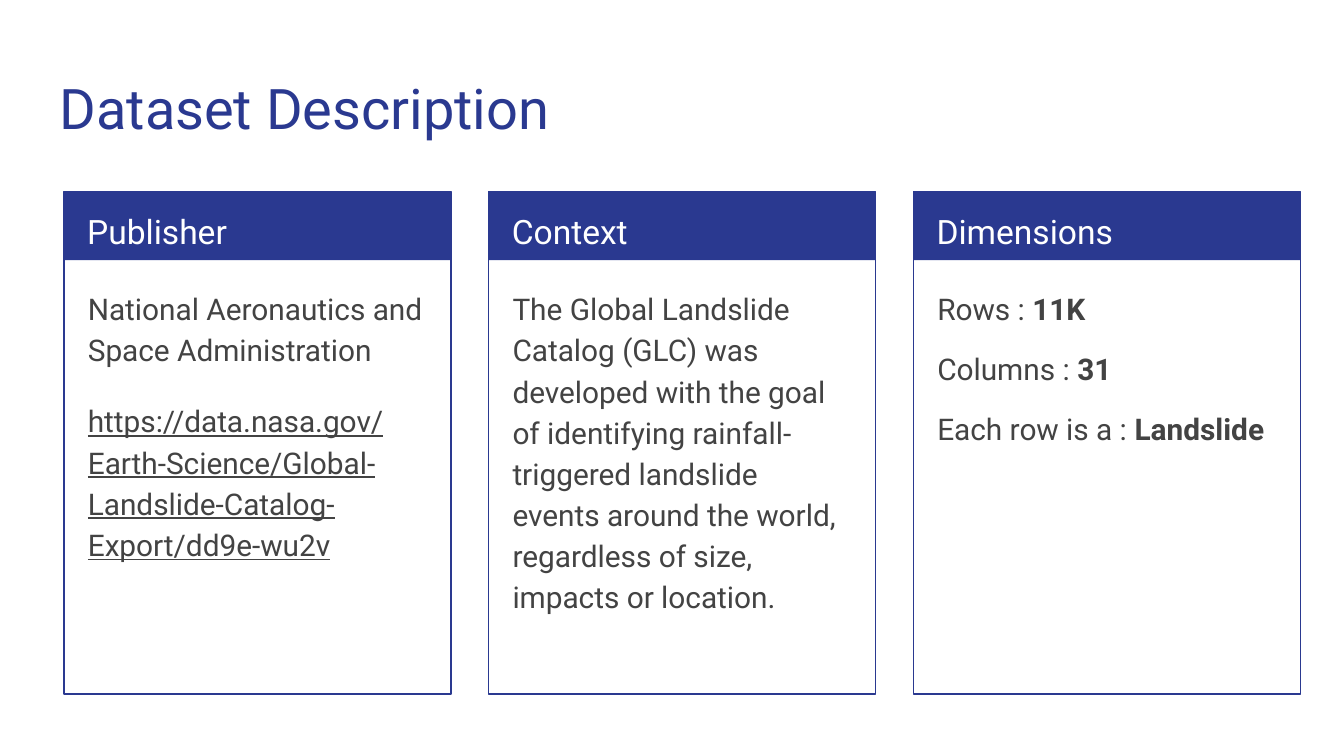
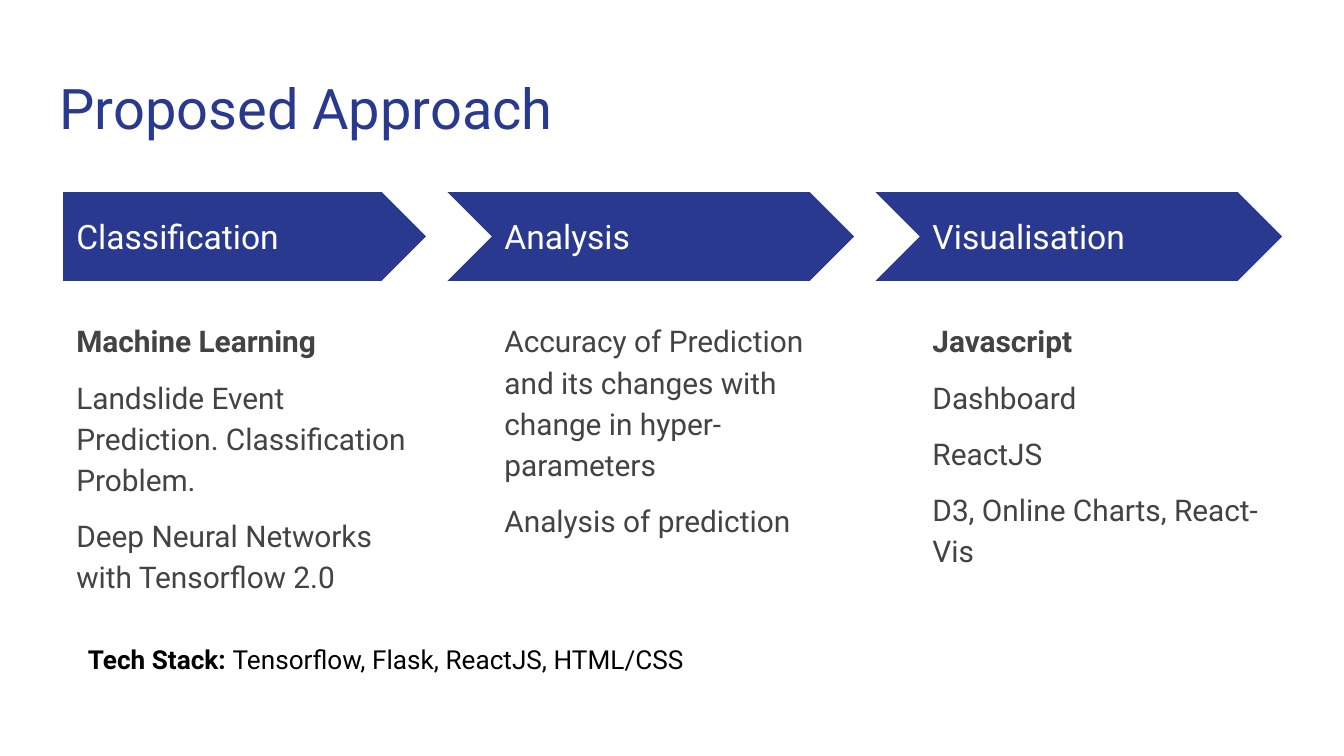
from dataclasses import dataclass

from pptx import Presentation
from pptx.dml.color import RGBColor
from pptx.enum.shapes import MSO_SHAPE as Shape
from pptx.enum.text import MSO_ANCHOR as Anchor
from pptx.util import Pt

SCALE = 4572  # EMU per px, 200 px to the inch


@dataclass(frozen=True)
class Theme:
    font: str = "Roboto"
    navy: str = "2A3990"
    white: str = "FFFFFF"
    gray: str = "434343"
    black: str = "000000"
    title: int = 30
    head: int = 18
    body: int = 16
    note: int = 14
    line: float = 0.75
    lead: float = 1.15


def para(*runs, before=0, after=0):
    """A paragraph: runs are plain text or (text, style) pairs."""
    return runs, before, after


class Deck:
    def __init__(self, theme):
        self.theme = theme
        self.prs = Presentation()
        self.prs.slide_width = 2000 * SCALE
        self.prs.slide_height = 1125 * SCALE
        self.slide = None

    def page(self, title):
        self.slide = self.prs.slides.add_slide(self.prs.slide_layouts[6])
        t = self.theme
        self.text((69, 90, 1864, 132), [para(title)], t.title, t.navy)

    def shape(self, kind, box, fill=None, line=None):
        item = self.slide.shapes.add_shape(kind, *[n * SCALE for n in box])
        item.shadow.inherit = False
        if fill:
            item.fill.solid()
            item.fill.fore_color.rgb = RGBColor.from_string(fill)
        else:
            item.fill.background()
        if line:
            item.line.color.rgb = RGBColor.from_string(line)
            item.line.width = Pt(self.theme.line)
        else:
            item.line.fill.background()
        return item

    def text(self, box, paras, size, color, lead=None, anchor=Anchor.TOP):
        frame = self.slide.shapes.add_textbox(*[n * SCALE for n in box]).text_frame
        frame.word_wrap = True
        frame.vertical_anchor = anchor
        frame.margin_left = frame.margin_right = 20 * SCALE
        frame.margin_top = frame.margin_bottom = 20 * SCALE
        for i, (runs, before, after) in enumerate(paras):
            p = frame.add_paragraph() if i else frame.paragraphs[0]
            p.space_before, p.space_after = Pt(before), Pt(after)
            if lead:
                p.line_spacing = lead
            for part in runs:
                words, style = (part, "") if isinstance(part, str) else part
                run = p.add_run()
                run.text = words
                font = run.font
                font.name, font.size = self.theme.font, Pt(size)
                font.color.rgb = RGBColor.from_string(color)
                font.bold = style == "bold"
                font.underline = style == "under"

    def card(self, x, head, paras):
        t = self.theme
        self.shape(Shape.RECTANGLE, (x, 285, 576, 102), fill=t.navy)
        self.shape(Shape.RECTANGLE, (x, 285, 576, 748), line=t.navy)
        self.text((x + 15, 285, 546, 100), [para(head)], t.head, t.white, t.lead)
        self.text((x + 16, 405, 542, 612), paras, t.body, t.gray, t.lead)

    def step(self, x, first, head, paras, tall):
        t = self.theme
        kind, notch = (Shape.PENTAGON, 0) if first else (Shape.CHEVRON, 65)
        arrow = self.shape(kind, (x - notch, 286, 540 + notch, 132), fill=t.navy)
        arrow.adjustments[0] = 0.5
        self.text((x, 318, 494, 68), [para(head)], t.head, t.white,
                  anchor=Anchor.MIDDLE)
        self.text((x, 453, 540, tall), paras, t.body, t.gray, t.lead)


CARDS = [
    ("Publisher", [
        para("National Aeronautics and Space Administration"),
        para(("https://data.nasa.gov/Earth-Science/Global-Landslide-Catalog-"
              "Export/dd9e-wu2v", "under"), before=16, after=16),
    ]),
    ("Context", [
        para("The Global Landslide Catalog (GLC) was developed with the goal of "
             "identifying rainfall-triggered landslide events around the world, "
             "regardless of size, impacts or location.", after=16),
    ]),
    ("Dimensions", [
        para(label, (value, "bold"), before=10)
        for label, value in [("Rows : ", "11K"), ("Columns : ", "31"),
                             ("Each row is a : ", "Landslide")]
    ]),
]

STEPS = [
    ("Classification", [
        para(("Machine Learning", "bold")),
        para("Landslide Event Prediction. Classification Problem.", before=8),
        para("Deep Neural Networks with Tensorflow 2.0", before=8, after=8),
    ], 580),
    ("Analysis", [
        para("Accuracy of Prediction and its changes with change in "
             "hyper-parameters"),
        para("Analysis of prediction", before=8, after=8),
    ], 580),
    ("Visualisation", [
        para(("Javascript", "bold")),
        para("Dashboard", before=8),
        para("ReactJS", before=8),
        para("D3, Online Charts, React-Vis", before=8, after=8),
    ], 420),
]


def main():
    theme = Theme()
    deck = Deck(theme)

    # Dataset: three framed cards
    deck.page("Dataset Description")
    for i, (head, paras) in enumerate(CARDS):
        deck.card(95 + 632 * i, head, paras)

    # Approach: three arrow steps and a closing note
    deck.page("Proposed Approach")
    for i, (head, paras, tall) in enumerate(STEPS):
        deck.step(94 + 637 * i, i == 0, head, paras, tall)
    deck.text((111, 938, 1122, 88),
              [para(("Tech Stack: ", "bold"), "Tensorflow, Flask, ReactJS, HTML/CSS")],
              theme.note, theme.black)

    deck.prs.save("out.pptx")


if __name__ == "__main__":
    main()
